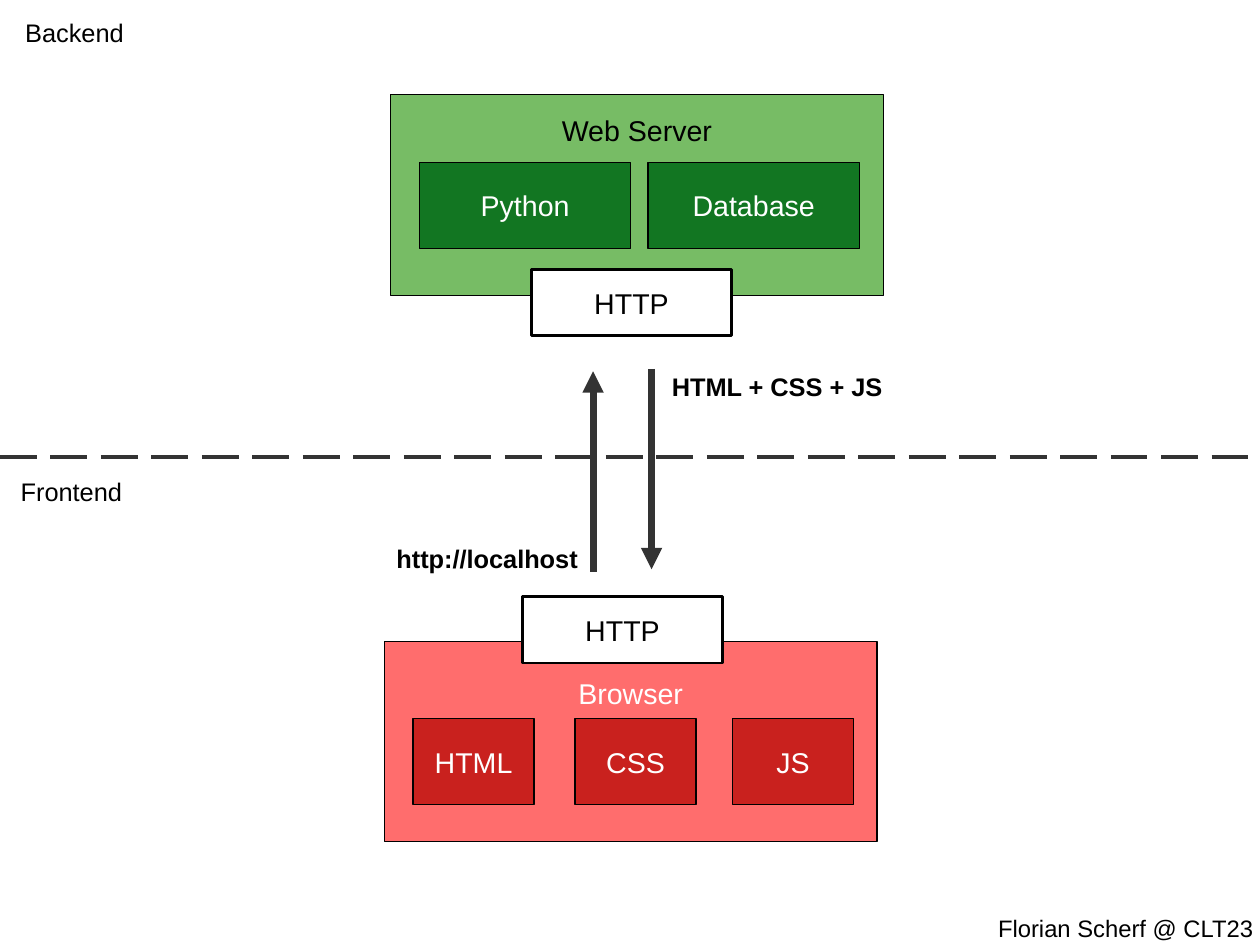
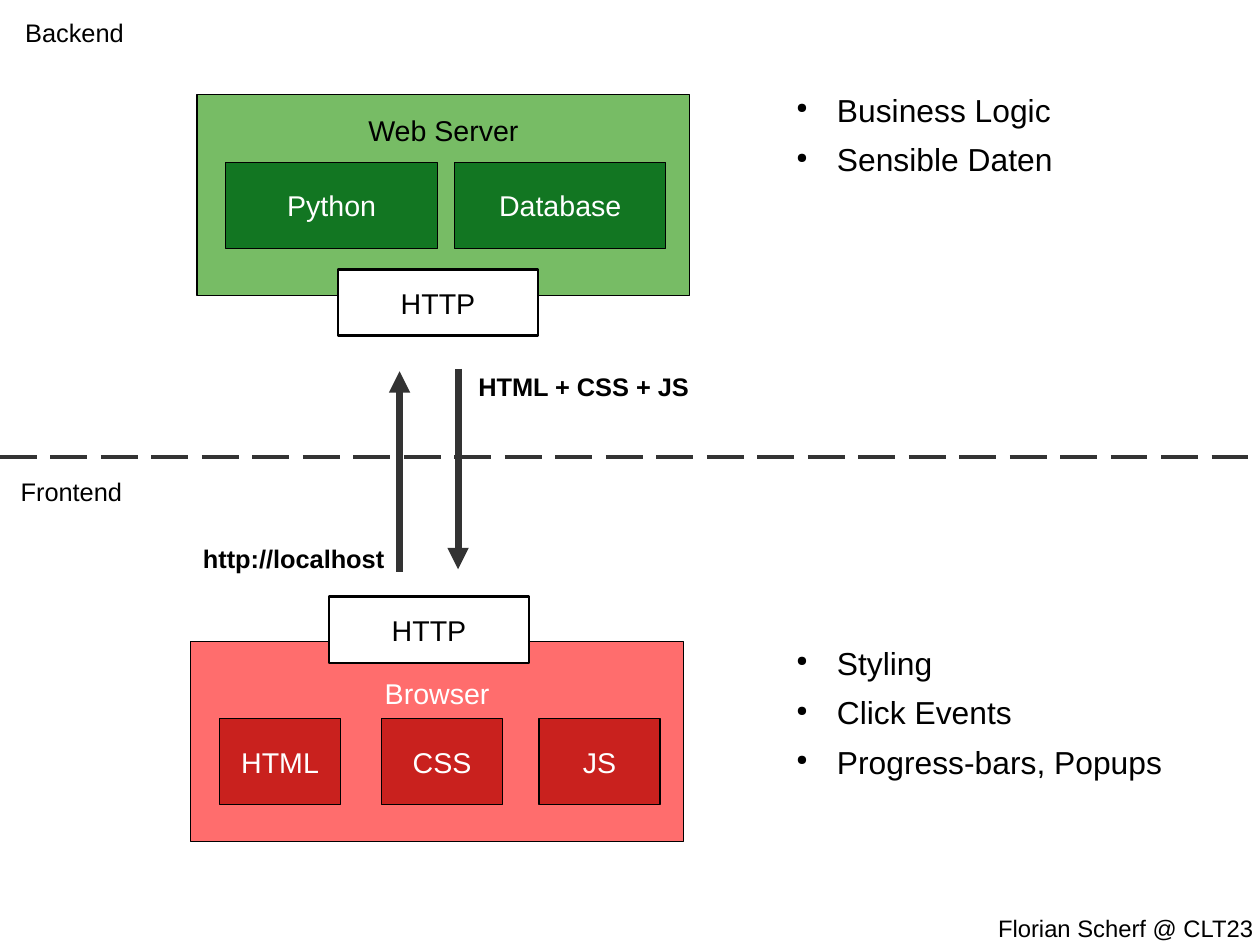
from dataclasses import dataclass

from lxml.etree import SubElement as Sub
from pptx import Presentation
from pptx.dml.color import RGBColor as Rgb
from pptx.enum.dml import MSO_LINE_DASH_STYLE as Dash
from pptx.enum.shapes import MSO_CONNECTOR_TYPE as Link, MSO_SHAPE as Kind
from pptx.enum.text import MSO_ANCHOR as Anchor, PP_ALIGN as Align
from pptx.oxml.ns import qn
from pptx.util import Cm, Pt


@dataclass(frozen=True)
class Theme:
    """Colours and type sizes of the deck."""
    font: str = "Arial"
    black: str = "000000"
    white: str = "FFFFFF"
    grey: str = "333333"
    green: str = "77BC65"
    forest: str = "127622"
    pink: str = "FF6D6D"
    red: str = "C9211E"
    foot: int = 15
    label: int = 16
    box: int = 18
    item: int = 20


class Deck:
    """Style and current slide, with one method per kind of element."""

    def __init__(self, theme):
        """Open an empty deck."""
        self.theme = theme
        self.show = Presentation()
        self.show.slide_width, self.show.slide_height = Cm(28), Cm(21)

    def words(self, para, text, size, color, bold=False):
        """Put styled text in a paragraph."""
        para.text = text
        for run in para.runs:
            font = run.font
            font.name, font.size, font.bold = self.theme.font, Pt(size), bold
            font.color.rgb = Rgb.from_string(color)

    def frame(self, x, y, w, h):
        """Add a text box without margins and return its frame."""
        frame = self.shapes.add_textbox(Cm(x), Cm(y), Cm(w), Cm(h)).text_frame
        frame.word_wrap = True
        frame.margin_left = frame.margin_right = 0
        frame.margin_top = frame.margin_bottom = 0
        return frame

    def label(self, text, x, y, size=None, bold=False, w=5.8):
        """Add a single line of text."""
        para = self.frame(x, y, w, 0.7).paragraphs[0]
        self.words(para, text, size or self.theme.label, self.theme.black, bold)

    def bullets(self, items, x, y):
        """Add a bulleted list."""
        frame = self.frame(x, y, 10.4, 1.25 * len(items))
        for i, item in enumerate(items):
            para = frame.add_paragraph() if i else frame.paragraphs[0]
            props = para._p.get_or_add_pPr()
            props.set("marL", str(Cm(1.2)))
            props.set("indent", str(Cm(-0.9)))
            hue = Sub(props, qn("a:buClr"))
            Sub(hue, qn("a:srgbClr"), val=self.theme.black)
            Sub(props, qn("a:buSzPct"), val="45000")
            Sub(props, qn("a:buChar"), char="●")
            para.space_before = Pt(7.2 if i else 0)
            self.words(para, item, self.theme.item, self.theme.black)

    def box(self, text, x, y, w, h, fill, color, edge=0, top=None):
        """Add a box whose text is centred, or starts at a top inset."""
        shape = self.shapes.add_shape(Kind.RECTANGLE, Cm(x), Cm(y), Cm(w), Cm(h))
        shape.shadow.inherit = False
        shape.fill.solid()
        shape.fill.fore_color.rgb = Rgb.from_string(fill)
        shape.line.color.rgb = Rgb.from_string(self.theme.black)
        shape.line.width = Pt(edge)
        frame = shape.text_frame
        frame.word_wrap = True
        frame.vertical_anchor = Anchor.MIDDLE if top is None else Anchor.TOP
        if top is not None:
            frame.margin_top = Cm(top)
        para = frame.paragraphs[0]
        para.alignment = Align.CENTER
        self.words(para, text, self.theme.box, color)

    def line(self, start, end, width, dash=None, arrow=False):
        """Add a straight line, dashed or with an arrowhead at its end."""
        link = self.shapes.add_connector(
            Link.STRAIGHT, *(Cm(v) for v in (*start, *end)))
        link.line.color.rgb = Rgb.from_string(self.theme.grey)
        link.line.width = Pt(width)
        if dash:
            link.line.dash_style = dash
        props = link._element.spPr
        if arrow:
            Sub(props.find(qn("a:ln")), qn("a:tailEnd"), type="triangle")
        Sub(props, qn("a:effectLst"))

    def slide(self):
        """Start a slide with its footer, divider and zone names."""
        self.shapes = self.show.slides.add_slide(self.show.slide_layouts[6]).shapes
        self.label("Florian Scherf @ CLT23", 22.18, 20.3, self.theme.foot)
        self.line((0, 10.16), (28, 10.16), 2.89, dash=Dash.LONG_DASH)
        self.label("Backend", 0.56, 0.38)
        self.label("Frontend", 0.46, 10.59)

    def port(self, x, y):
        """Add an HTTP port."""
        self.box("HTTP", x, y, 4.45, 1.47, self.theme.white, self.theme.black, 1.5)

    def stack(self, left):
        """Draw server, browser and their traffic from a left edge."""
        look = self.theme
        self.box("Web Server", left, 2.11, 10.95, 4.45,
                 look.green, look.black, top=0.4)
        for text, dx in (("Python", 0.64), ("Database", 5.72)):
            self.box(text, left + dx, 3.61, 4.7, 1.91, look.forest, look.white)
        self.port(left + 3.13, 5.99)

        self.box("Browser", left - 0.14, 14.26, 10.95, 4.45,
                 look.pink, look.white, top=0.76)
        for text, dx in (("HTML", 0.5), ("CSS", 4.1), ("JS", 7.6)):
            self.box(text, left + dx, 15.97, 2.69, 1.91, look.red, look.white)
        self.port(left + 2.93, 13.26)

        for dx, start, end in ((4.5, 12.7, 8.25), (5.8, 8.2, 12.65)):
            self.line((left + dx, start), (left + dx, end), 4.5, arrow=True)
        self.label("http://localhost", left + 0.13, 12.07, bold=True, w=4.3)
        self.label("HTML + CSS + JS", left + 6.25, 8.25, bold=True)


def main():
    """Build both slides and save the deck."""
    deck = Deck(Theme())
    deck.slide()
    deck.stack(8.68)

    deck.slide()
    deck.stack(4.38)
    deck.bullets(("Business Logic", "Sensible Daten"), 17.4, 2.01)
    deck.bullets(("Styling", "Click Events", "Progress-bars, Popups"), 17.4, 14.3)
    deck.show.save("out.pptx")


if __name__ == "__main__":
    main()
